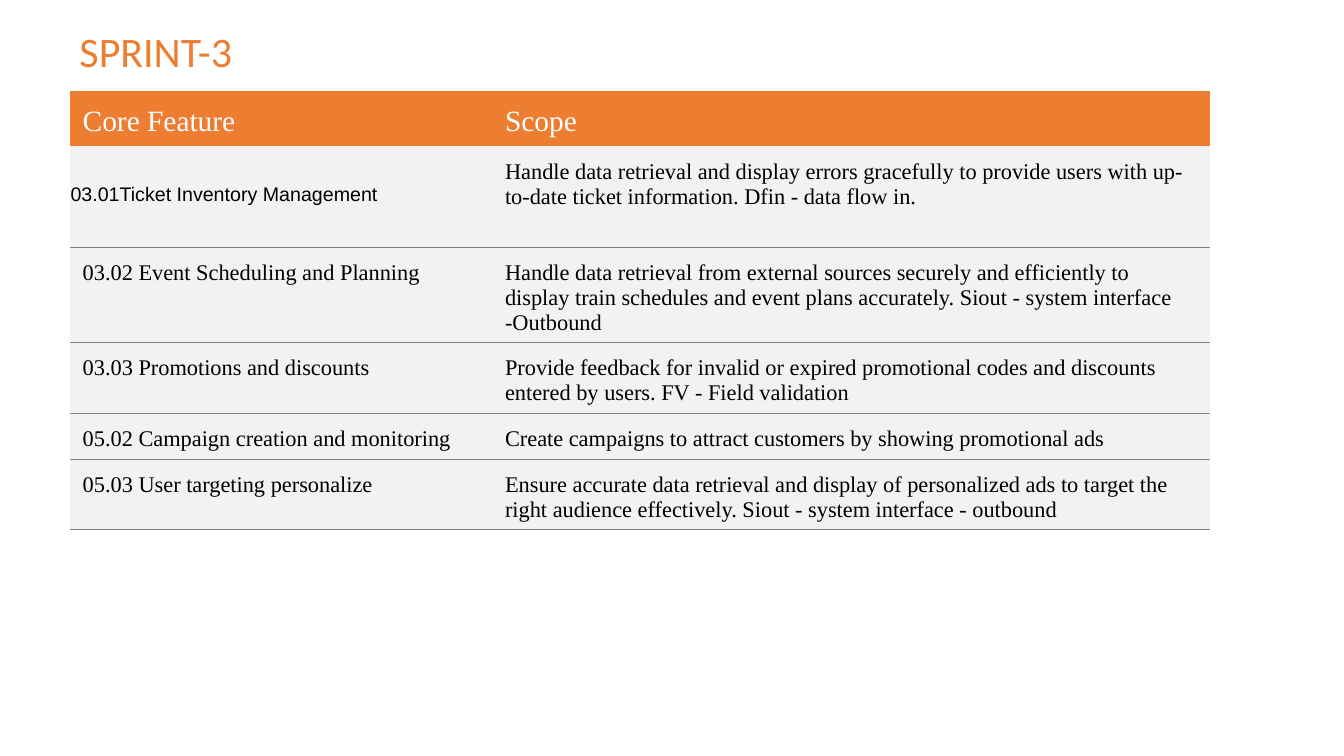
from typing import NamedTuple

from lxml.etree import SubElement
from pptx import Presentation
from pptx.dml.color import RGBColor
from pptx.enum.text import MSO_ANCHOR
from pptx.oxml import parse_xml
from pptx.oxml.ns import nsdecls, qn
from pptx.table import _Cell
from pptx.text.text import TextFrame
from pptx.util import Pt

ORANGE = RGBColor(0xED, 0x7D, 0x31)
LIGHT_GRAY = RGBColor(0xF2, 0xF2, 0xF2)
RULE_GRAY = RGBColor(0x80, 0x80, 0x80)
WHITE = RGBColor(0xFF, 0xFF, 0xFF)
BLACK = RGBColor(0, 0, 0)
SERIF = "Times New Roman"
NO_STYLE = "{2D5ABB26-0587-4C30-8999-92F81FD0307C}"

LEFT = 49.7
TABLE_TOP = 65
COLUMN_WIDTHS = (301.7, 512.6)
HEADER_HEIGHT = 39.6
HEADERS = ("Core Feature", "Scope")


class Feature(NamedTuple):
    name: str
    scope: str
    height: float


class CellFormat(NamedTuple):
    size: float = 16
    font: str = SERIF
    color: RGBColor = BLACK
    fill: RGBColor = LIGHT_GRAY
    anchor: MSO_ANCHOR = MSO_ANCHOR.TOP
    side: float = 9.4
    top: float = 9.4
    bottom: float = 5
    ruled: bool = True


HEADER = CellFormat(size=21, color=WHITE, fill=ORANGE, anchor=MSO_ANCHOR.MIDDLE, ruled=False)
BODY = CellFormat()
COMPACT = CellFormat(size=14, font="Arial", anchor=MSO_ANCHOR.MIDDLE,
                     side=0.7, top=0.7, bottom=3.6)

FEATURES = (
    Feature("03.01Ticket Inventory Management",
            "Handle data retrieval and display errors gracefully to provide users with "
            "up-to-date ticket information. Dfin - data flow in.", 72),
    Feature("03.02 Event Scheduling and Planning",
            "Handle data retrieval from external sources securely and efficiently to "
            "display train schedules and event plans accurately. Siout - system interface "
            "-Outbound", 67.6),
    Feature("03.03 Promotions and discounts",
            "Provide feedback for invalid or expired promotional codes and discounts "
            "entered by users. FV - Field validation", 50.8),
    Feature("05.02 Campaign creation and monitoring",
            "Create campaigns to attract customers by showing promotional ads", 33.3),
    Feature("05.03 User targeting personalize",
            "Ensure accurate data retrieval and display of personalized ads to target the "
            "right audience effectively. Siout - system interface - outbound", 50),
)


def write(tf: TextFrame, text: str, *, size: float, font: str, color: RGBColor) -> None:
    tf.word_wrap = True
    r = tf.paragraphs[0].add_run()
    r.text = text
    r.font.size = Pt(size)
    r.font.name = font
    r.font.color.rgb = color


def add_bottom_rule(cell: _Cell) -> None:
    line = parse_xml(f'<a:lnB {nsdecls("a")} w="{Pt(0.75)}"/>')
    fill = SubElement(line, qn("a:solidFill"))
    SubElement(fill, qn("a:srgbClr"), val=str(RULE_GRAY))
    cell._tc.get_or_add_tcPr().insert(0, line)


def fill_cell(cell: _Cell, text: str, fmt: CellFormat) -> None:
    cell.fill.solid()
    cell.fill.fore_color.rgb = fmt.fill
    cell.vertical_anchor = fmt.anchor
    cell.margin_left = cell.margin_right = Pt(fmt.side)
    cell.margin_top = Pt(fmt.top)
    cell.margin_bottom = Pt(fmt.bottom)
    write(cell.text_frame, text, size=fmt.size, font=fmt.font, color=fmt.color)
    if fmt.ruled:
        add_bottom_rule(cell)


def main() -> None:
    prs = Presentation()
    prs.slide_width, prs.slide_height = Pt(960), Pt(540)
    s = prs.slides.add_slide(prs.slide_layouts[6])

    heights = (HEADER_HEIGHT, *(feature.height for feature in FEATURES))
    frame = s.shapes.add_table(len(heights), len(COLUMN_WIDTHS), Pt(LEFT), Pt(TABLE_TOP),
                               Pt(sum(COLUMN_WIDTHS)), Pt(sum(heights)))
    table = frame.table
    table.first_row = table.horz_banding = False
    table._tbl.tblPr.find(qn("a:tableStyleId")).text = NO_STYLE
    for column, width in zip(table.columns, COLUMN_WIDTHS):
        column.width = Pt(width)
    for row, height in zip(table.rows, heights):
        row.height = Pt(height)

    for col, header in enumerate(HEADERS):
        fill_cell(table.cell(0, col), header, HEADER)
    for row, feature in enumerate(FEATURES, start=1):
        fill_cell(table.cell(row, 0), feature.name, COMPACT if row == 1 else BODY)
        fill_cell(table.cell(row, 1), feature.scope, BODY)

    title = s.shapes.add_textbox(Pt(LEFT), Pt(14.4), Pt(480), Pt(43.2))
    write(title.text_frame, "SPRINT-3", size=30, font="Calibri", color=ORANGE)

    prs.save("out.pptx")


if __name__ == "__main__":
    main()
